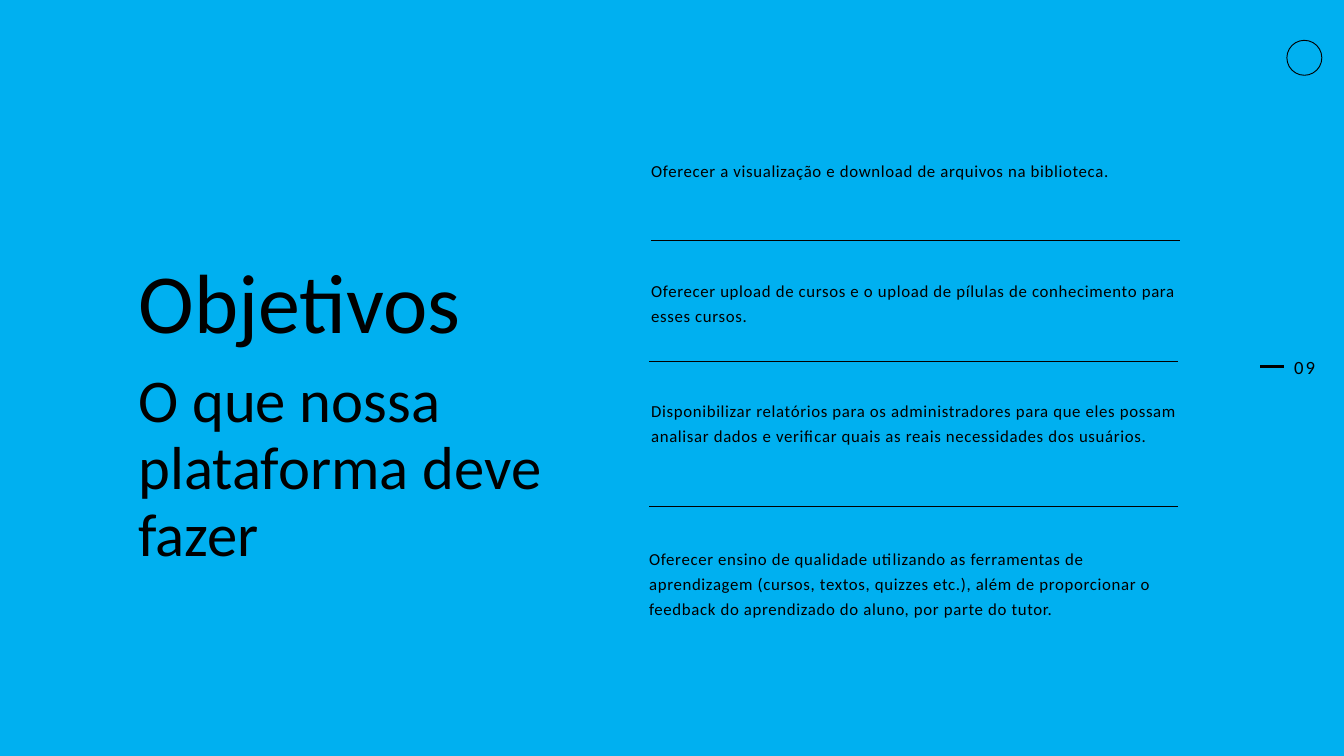
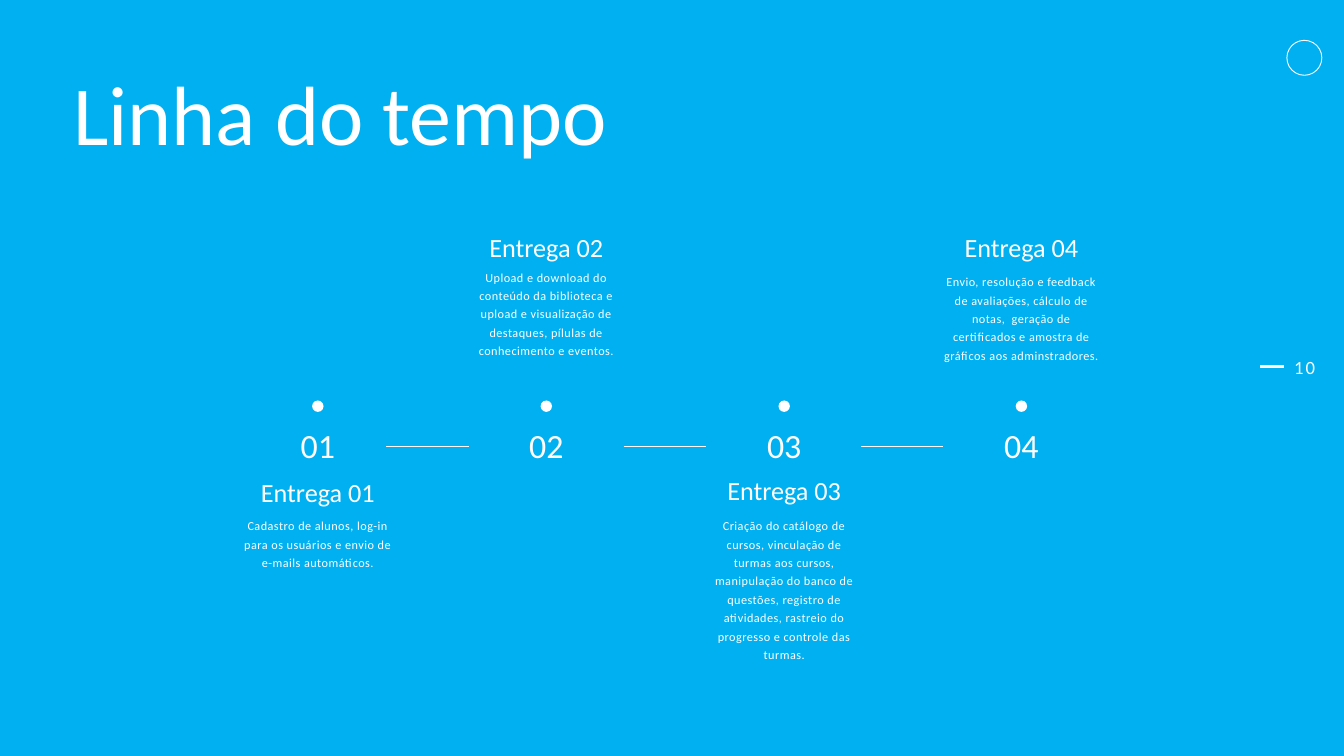
from dataclasses import dataclass

from lxml import etree
from pptx import Presentation
from pptx.dml.color import RGBColor
from pptx.enum.shapes import MSO_CONNECTOR, MSO_SHAPE
from pptx.enum.text import MSO_ANCHOR, MSO_AUTO_SIZE, PP_ALIGN
from pptx.oxml.ns import qn
from pptx.util import Inches, Pt

LEFT, CENTER, RIGHT = PP_ALIGN.LEFT, PP_ALIGN.CENTER, PP_ALIGN.RIGHT
TOP = MSO_ANCHOR.TOP
NO_AUTOFIT = MSO_AUTO_SIZE.NONE
OVAL = MSO_SHAPE.OVAL
STRAIGHT = MSO_CONNECTOR.STRAIGHT

FONT = "Calibri"
COLORS = {"sky": "00B0F0", "black": "000000", "white": "FFFFFF"}
TITLE_AND_BODY, TITLE_ONLY = 1, 5


@dataclass(frozen=True)
class TextStyle:
    size: float
    leading: float
    spacing: float = 0
    align: PP_ALIGN = LEFT


TITLE = TextStyle(90, 99)
SUBTITLE = TextStyle(65, 71.5)
GOAL = TextStyle(18, 27, 0.7)
PAGE_NUMBER = TextStyle(20, 24, 2, RIGHT)
STEP_NUMBER = TextStyle(36.3, 39.9, align=CENTER)
STEP_NAME = TextStyle(28.1, 30.9, align=CENTER)
STEP_DETAIL = TextStyle(13.1, 19.7, 0.5, CENTER)


@dataclass(frozen=True)
class Goal:
    left: float
    top: float
    height: float
    text: str


@dataclass(frozen=True)
class Rule:
    left: float
    y: float


@dataclass(frozen=True)
class Delivery:
    number: str
    center: float
    name_top: float
    detail_top: float
    detail_height: float
    detail: str


GOALS = [
    Goal(9.69, 2.31, 0.72,
         "Oferecer a visualização e download de arquivos na biblioteca."),
    Goal(9.69, 4.1, 0.72,
         "Oferecer upload de cursos e o upload de pílulas de conhecimento para "
         "esses cursos."),
    Goal(9.69, 5.89, 1.1,
         "Disponibilizar relatórios para os administradores para que eles "
         "possam analisar dados e verificar quais as reais necessidades dos "
         "usuários."),
    Goal(9.66, 8.09, 1.48,
         "Oferecer ensino de qualidade utilizando as ferramentas de "
         "aprendizagem (cursos, textos, quizzes etc.), além de proporcionar o "
         "feedback do aprendizado do aluno, por parte do tutor."),
]
GOAL_RULES = [Rule(9.69, 3.58), Rule(9.66, 5.38), Rule(9.66, 7.54)]
GOAL_WIDTH = 7.87

DELIVERIES = [
    Delivery("01", 4.73, 7.13, 7.66, 1.09,
             "Cadastro de alunos, log-in para os usuários e envio de e-mails "
             "automáticos."),
    Delivery("02", 8.13, 3.48, 3.96, 1.66,
             "Upload e download do conteúdo da biblioteca e upload e "
             "visualização de destaques, pílulas de conhecimento e eventos."),
    Delivery("03", 11.67, 7.1, 7.66, 2.22,
             "Criação do catálogo de cursos, vinculação de turmas aos cursos, "
             "manipulação do banco de questões, registro de atividades, "
             "rastreio do progresso e controle das turmas."),
    Delivery("04", 15.2, 3.48, 4.03, 1.66,
             "Envio, resolução e feedback de avaliações, cálculo de notas,  "
             "geração de certificados e amostra de gráficos aos "
             "adminstradores."),
]
LINK_LEFT, LINK_STEP, LINK_WIDTH, LINK_Y = 5.75, 3.53, 1.23, 6.64


def rgb(color: str) -> RGBColor:
    return RGBColor.from_string(COLORS[color])


def set_text(box, area: tuple, text: str, style: TextStyle, color: str) -> None:
    """Place a text box or placeholder and write one formatted paragraph."""
    for name, value in zip(("left", "top", "width", "height"), area):
        setattr(box, name, Inches(value))
    frame = box.text_frame
    frame_format = {"margin_left": 0, "margin_top": 0, "margin_right": 0,
                    "margin_bottom": 0, "word_wrap": True,
                    "auto_size": NO_AUTOFIT, "vertical_anchor": TOP}
    for name, value in frame_format.items():
        setattr(frame, name, value)

    para = frame.paragraphs[0]
    if box.is_placeholder:
        properties = para._p.get_or_add_pPr()
        properties.set("marL", "0")
        properties.set("indent", "0")
        etree.SubElement(properties, qn("a:buNone"))
    para_format = {"alignment": style.align, "line_spacing": Pt(style.leading),
                   "space_before": Pt(0)}
    for name, value in para_format.items():
        setattr(para, name, value)

    span = para.add_run()
    span.text = text
    for name, value in {"name": FONT, "size": Pt(style.size)}.items():
        setattr(span.font, name, value)
    span.font.color.rgb = rgb(color)
    if style.spacing:
        span._r.get_or_add_rPr().set("spc", str(round(style.spacing * 100)))


def add_text(page, area: tuple, text: str, style: TextStyle, color: str) -> None:
    box = page.shapes.add_textbox(0, 0, 0, 0)
    set_text(box, area, text, style, color)


def add_rule(page, left: float, y: float, width: float, color: str,
             weight: float = 0.75) -> None:
    rule = page.shapes.add_connector(STRAIGHT, Inches(left), Inches(y),
                                     Inches(left + width), Inches(y))
    rule.line.color.rgb = rgb(color)
    rule.line.width = Pt(weight)
    etree.SubElement(rule._element.spPr, qn("a:effectLst"))


def add_circle(page, left: float, top: float, size: float, color: str,
               filled: bool) -> None:
    circle = page.shapes.add_shape(OVAL, Inches(left), Inches(top),
                                   Inches(size), Inches(size))
    circle.shadow.inherit = False
    if filled:
        circle.fill.solid()
        circle.fill.fore_color.rgb = rgb(color)
        circle.line.fill.background()
    else:
        circle.fill.background()
        circle.line.color.rgb = rgb(color)
        circle.line.width = Pt(1)


def add_page(deck, layout: int, number: str, title: str, title_area: tuple,
             color: str):
    """Add a slide with its title, corner ring and page number."""
    page = deck.slides.add_slide(deck.slide_layouts[layout])
    set_text(page.shapes.title, title_area, title, TITLE, color)
    add_circle(page, 19.15, 0.6, 0.52, color, filled=False)
    add_text(page, (19.07, 5.29, 0.5, 0.34), number, PAGE_NUMBER, color)
    add_rule(page, 18.75, 5.46, 0.35, color, weight=3)
    return page


def build_goals(deck) -> None:
    color = "black"
    page = add_page(deck, TITLE_AND_BODY, "09", "Objetivos",
                    (2.06, 3.84, 6.86, 1.43), color)
    set_text(page.placeholders[1], (2.06, 5.48, 6.08, 3.03),
             "O que nossa plataforma deve fazer", SUBTITLE, color)
    for goal in GOALS:
        add_text(page, (goal.left, goal.top, GOAL_WIDTH, goal.height),
                 goal.text, GOAL, color)
    for rule in GOAL_RULES:
        add_rule(page, rule.left, rule.y, GOAL_WIDTH, color)


def build_timeline(deck) -> None:
    color = "white"
    page = add_page(deck, TITLE_ONLY, "10", "Linha do tempo",
                    (1.09, 1.04, 9.44, 1.41), color)
    # Links between the steps
    for index in range(len(DELIVERIES) - 1):
        add_rule(page, LINK_LEFT + index * LINK_STEP, LINK_Y, LINK_WIDTH, color)
    # Dot, number, name and detail of each delivery, on one centre line
    for step in DELIVERIES:
        add_circle(page, step.center - 0.085, 5.96, 0.17, color, filled=True)
        texts = [
            (step.number, STEP_NUMBER, 6.37, 0.7, 0.57),
            (f"Entrega {step.number}", STEP_NAME, step.name_top, 1.97, 0.43),
            (step.detail, STEP_DETAIL, step.detail_top, 2.3,
             step.detail_height),
        ]
        for text, style, top, width, height in texts:
            area = (step.center - width / 2, top, width, height)
            add_text(page, area, text, style, color)


def main() -> None:
    deck = Presentation()
    deck.slide_width, deck.slide_height = Inches(20), Inches(11.25)
    background = deck.slide_master.background.fill
    background.solid()
    background.fore_color.rgb = rgb("sky")
    build_goals(deck)
    build_timeline(deck)
    deck.save("out.pptx")


if __name__ == "__main__":
    main()
